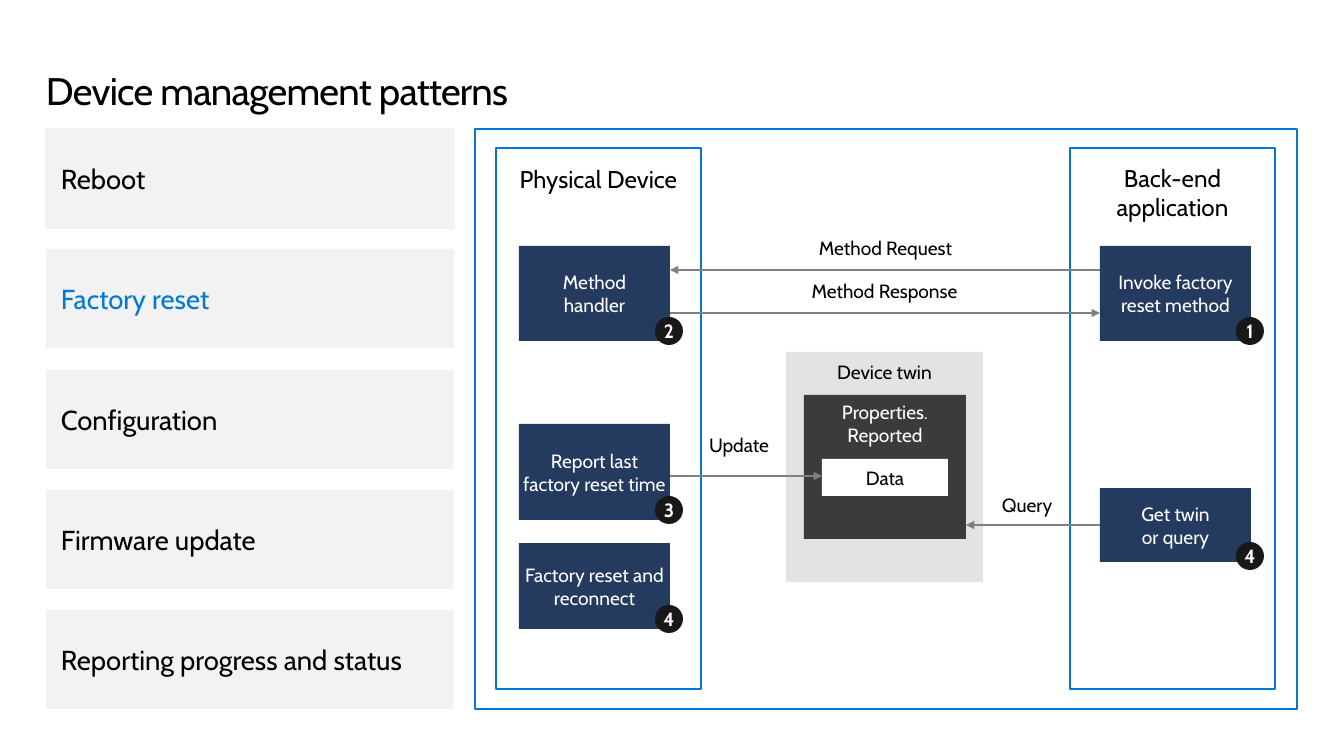
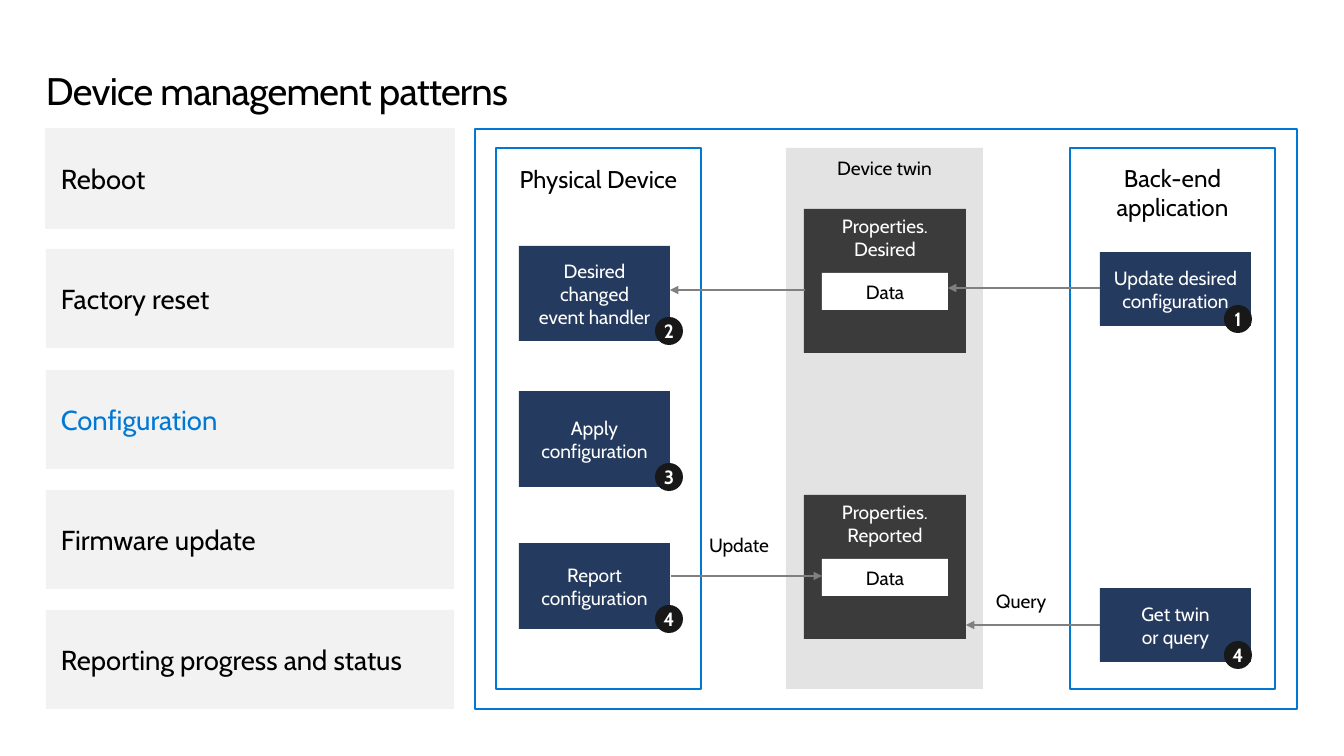
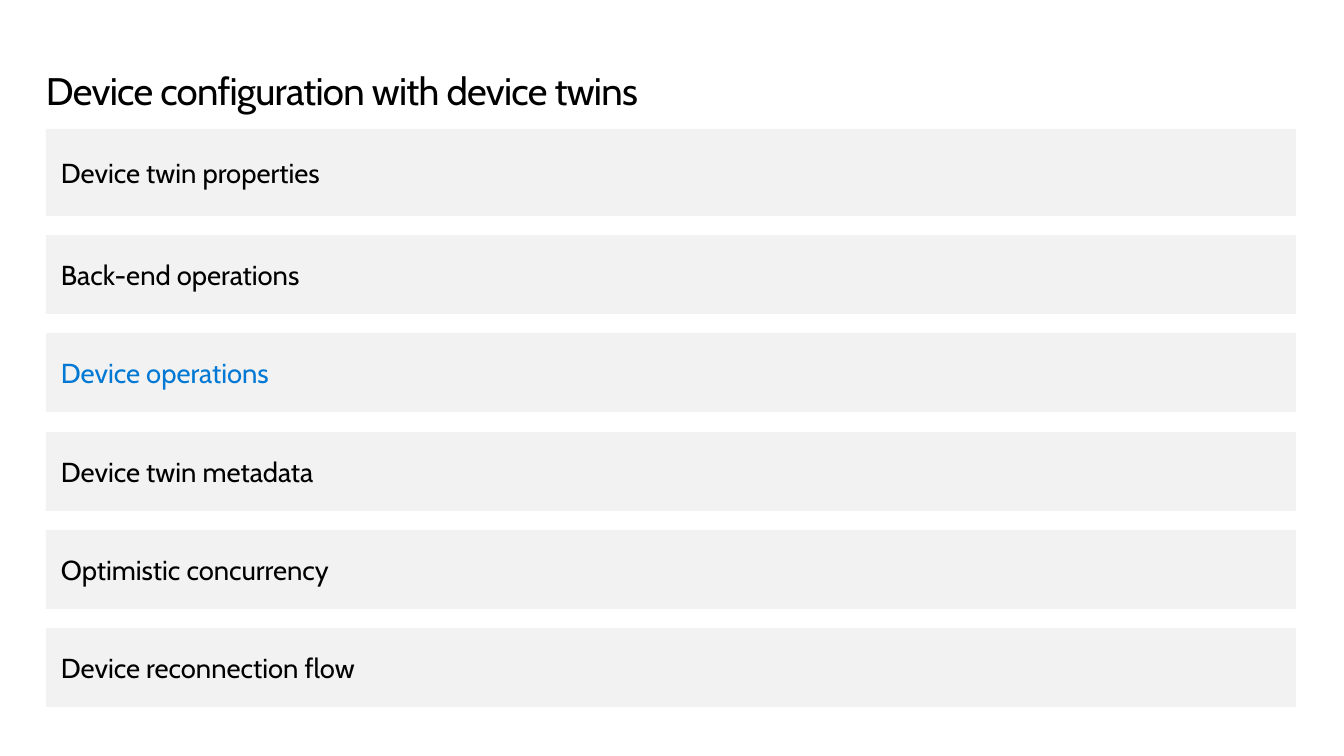
"""Build three slides on device management patterns and device twins."""
from dataclasses import dataclass

from lxml import etree
from pptx import Presentation
from pptx import util as u
from pptx.dml.color import RGBColor
from pptx.enum import shapes, text
from pptx.oxml.ns import qn
from pptx.slide import Slide
from pptx.text.text import TextFrame

PX = 914400 / 100.8
FONT = "Cabin"
BLACK = RGBColor(0x00, 0x00, 0x00)
WHITE = RGBColor(0xFF, 0xFF, 0xFF)
BLUE = RGBColor(0x00, 0x78, 0xD4)
NAVY = RGBColor(0x24, 0x3A, 0x5E)
BADGE = RGBColor(0x18, 0x18, 0x18)
CHARCOAL = RGBColor(0x3B, 0x3B, 0x3B)
TWIN_GRAY = RGBColor(0xE3, 0xE3, 0xE4)
BAND_GRAY = RGBColor(0xF2, 0xF2, 0xF2)
ARROW_GRAY = RGBColor(0x80, 0x80, 0x80)

TITLE_SIZE, MENU_SIZE, HEAD_SIZE, BODY_SIZE = 27.4, 19.6, 17.3, 13.7
LEFT, TOP = 46, 129
DEVICE_X, BACKEND_X = 519, 1100
STEP_W, BADGE_D = 151, 28
LANE_Y, LANE_W, LANE_H = 148, 205, 541

CENTER, START = text.PP_ALIGN.CENTER, text.PP_ALIGN.LEFT
MIDDLE, UPPER = text.MSO_ANCHOR.MIDDLE, text.MSO_ANCHOR.TOP
RECT, OVAL = shapes.MSO_SHAPE.RECTANGLE, shapes.MSO_SHAPE.OVAL


@dataclass(frozen=True)
class Rect:
    """Position and size in px."""
    x: int
    y: int
    w: int
    h: int


@dataclass(frozen=True)
class Style:
    """Text format, with insets in px as left, top, right, bottom."""
    size: float = BODY_SIZE
    color: RGBColor = BLACK
    align: text.PP_ALIGN = CENTER
    anchor: text.MSO_ANCHOR = MIDDLE
    insets: tuple[int, int, int, int] = (0, 0, 0, 0)
    bold: bool = False


@dataclass(frozen=True)
class Step:
    """A numbered box whose badge sits inset from its lower right corner."""
    x: int
    y: int
    h: int
    label: str
    number: int
    dx: int = 1
    dy: int = 10


@dataclass(frozen=True)
class Store:
    """A group of twin properties holding data."""
    y: int
    label: str


@dataclass(frozen=True)
class Arrow:
    """A horizontal arrow."""
    start: int
    end: int
    y: int


@dataclass(frozen=True)
class Label:
    """A caption next to an arrow."""
    rect: Rect
    label: str
    align: text.PP_ALIGN = START


@dataclass(frozen=True)
class Diagram:
    """All that differs between the pattern diagrams."""
    active: str
    twin: Rect
    steps: tuple[Step, ...]
    stores: tuple[Store, ...]
    labels: tuple[Label, ...]
    arrows: tuple[Arrow, ...]


PATTERNS = ("Reboot", "Factory reset", "Configuration", "Firmware update",
            "Reporting progress and status")
TOPICS = ("Device twin properties", "Back-end operations", "Device operations",
          "Device twin metadata", "Optimistic concurrency", "Device reconnection flow")

DIAGRAMS = (
    Diagram(
        "Factory reset", Rect(786, 352, 197, 230),
        (Step(DEVICE_X, 246, 95, "Method\nhandler", 2),
         Step(DEVICE_X, 424, 96, "Report last\nfactory reset time", 3),
         Step(DEVICE_X, 543, 86, "Factory reset and reconnect", 4),
         Step(BACKEND_X, 246, 95, "Invoke factory reset method", 1),
         Step(BACKEND_X, 488, 74, "Get twin\nor query", 4, 1, 6)),
        (Store(395, "Properties.\nReported"),),
        (Label(Rect(791, 236, 189, 23), "Method Request", CENTER),
         Label(Rect(790, 279, 189, 23), "Method Response", CENTER),
         Label(Rect(709, 433, 76, 23), "Update"),
         Label(Rect(1002, 493, 65, 23), "Query")),
        (Arrow(1100, 670, 270), Arrow(670, 1100, 313),
         Arrow(670, 822, 476), Arrow(1100, 966, 525))),
    Diagram(
        "Configuration", Rect(786, LANE_Y, 197, LANE_H),
        (Step(DEVICE_X, 246, 95, "Desired\nchanged\nevent handler", 2),
         Step(DEVICE_X, 391, 96, "Apply configuration", 3),
         Step(DEVICE_X, 543, 86, "Report configuration", 4),
         Step(BACKEND_X, 252, 74, "Update desired configuration", 1, 13, 7),
         Step(BACKEND_X, 588, 74, "Get twin\nor query", 4, 13, 7)),
        (Store(209, "Properties.\nDesired"), Store(495, "Properties.\nReported")),
        (Label(Rect(996, 589, 65, 23), "Query"),
         Label(Rect(709, 533, 76, 23), "Update")),
        (Arrow(1100, 948, 288), Arrow(805, 670, 290),
         Arrow(671, 822, 576), Arrow(1100, 966, 625))),
)


def px(n: float) -> u.Emu:
    """Turn px into EMU."""
    return u.Emu(round(n * PX))


def place(r: Rect) -> tuple[u.Emu, ...]:
    """Give a rectangle in EMU."""
    return px(r.x), px(r.y), px(r.w), px(r.h)


def write(tf: TextFrame, words: str, style: Style) -> None:
    """Fill a text frame with one formatted paragraph."""
    tf.word_wrap = True
    tf.auto_size = text.MSO_AUTO_SIZE.NONE
    tf.vertical_anchor = style.anchor
    tf.margin_left, tf.margin_top, tf.margin_right, tf.margin_bottom = map(px, style.insets)
    p = tf.paragraphs[0]
    p.text = words
    p.alignment = style.align
    p.font.name = FONT
    p.font.size = u.Pt(style.size)
    p.font.bold = style.bold
    p.font.color.rgb = style.color


def box(s: Slide, rect: Rect, fill: RGBColor | None = None, line: RGBColor | None = None,
        words: str = "", style: Style = Style(), kind: shapes.MSO_SHAPE = RECT) -> None:
    """Draw a flat shape, with text if there is any."""
    sp = s.shapes.add_shape(kind, *place(rect))
    sp.shadow.inherit = False
    if fill is None:
        sp.fill.background()
    else:
        sp.fill.solid()
        sp.fill.fore_color.rgb = fill
    if line is None:
        sp.line.fill.background()
    else:
        sp.line.color.rgb = line
        sp.line.width = u.Pt(1.5)
    if words:
        write(sp.text_frame, words, style)


def new_slide(prs: Presentation, title: str) -> Slide:
    """Add a slide with the shared title style."""
    s = prs.slides.add_slide(prs.slide_layouts[5])
    sp = s.shapes.title
    sp.left, sp.top, sp.width, sp.height = place(Rect(LEFT, 69, 1251, 44))
    write(sp.text_frame, title, Style(TITLE_SIZE, align=START, anchor=UPPER))
    p = sp.text_frame.paragraphs[0]
    p.line_spacing = u.Pt(31.4)
    p.runs[0]._r.get_or_add_rPr().set("spc", "-50")
    return s


def draw_menu(s: Slide, items: tuple[str, ...], active: str, width: int, first_h: int,
              rest_h: int, bottom: int, outlined: str = "") -> None:
    """Stack bands evenly from the top to the given bottom."""
    rest = len(items) - 1
    gap = (bottom - TOP - first_h - rest * rest_h) / rest
    y = TOP
    for i, item in enumerate(items):
        h = rest_h if i else first_h
        color = BLUE if item == active else BLACK
        box(s, Rect(LEFT, round(y), width, h), BAND_GRAY,
            BAND_GRAY if item == outlined else None, item,
            Style(MENU_SIZE, color, START, insets=(15, 10, 15, 10)))
        y += h + gap


def draw_step(s: Slide, step: Step) -> None:
    """Draw a step and its numbered badge."""
    box(s, Rect(step.x, step.y, STEP_W, step.h), NAVY, None, step.label, Style(color=WHITE))
    x = step.x + STEP_W - step.dx - BADGE_D // 2
    y = step.y + step.h - step.dy - BADGE_D // 2
    box(s, Rect(x, y, BADGE_D, BADGE_D), BADGE, None, str(step.number),
        Style(color=WHITE, bold=True), OVAL)


def draw_store(s: Slide, store: Store) -> None:
    """Draw a property group with its data box."""
    box(s, Rect(804, store.y, 162, 144), CHARCOAL, None, store.label,
        Style(color=WHITE, anchor=UPPER, insets=(0, 5, 0, 0)))
    box(s, Rect(822, store.y + 64, 126, 37), WHITE, None, "Data")


def draw_arrow(s: Slide, arrow: Arrow) -> None:
    """Draw a gray arrow with a triangle head."""
    cx = s.shapes.add_connector(shapes.MSO_CONNECTOR.STRAIGHT, px(arrow.start), px(arrow.y),
                                px(arrow.end), px(arrow.y))
    cx.line.color.rgb = ARROW_GRAY
    cx.line.width = u.Pt(1.5)
    etree.SubElement(cx.line._get_or_add_ln(), qn("a:tailEnd"), type="triangle")
    etree.SubElement(cx._element.spPr, qn("a:effectLst"))


def draw_diagram(s: Slide, d: Diagram) -> None:
    """Draw the frame, the lanes and the flow between them."""
    box(s, Rect(475, TOP, 822, 580), line=BLUE)
    for x, name, insets in ((496, "Physical Device", (20, 16, 20, 16)),
                            (1070, "Back-end application", (0, 15, 0, 0))):
        box(s, Rect(x, LANE_Y, LANE_W, LANE_H), None, BLUE, name,
            Style(HEAD_SIZE, anchor=UPPER, insets=insets))
    for step in d.steps:
        draw_step(s, step)
    box(s, d.twin, TWIN_GRAY, None, "Device twin",
        Style(anchor=UPPER, insets=(20, 8, 20, 16)))
    for store in d.stores:
        draw_store(s, store)
    for label in d.labels:
        tb = s.shapes.add_textbox(*place(label.rect))
        write(tb.text_frame, label.label, Style(align=label.align, anchor=UPPER))
    for arrow in d.arrows:
        draw_arrow(s, arrow)


def main() -> None:
    """Build and save the presentation."""
    prs = Presentation()
    prs.slide_width, prs.slide_height = px(1344), px(756)
    for d in DIAGRAMS:
        s = new_slide(prs, "Device management patterns")
        draw_menu(s, PATTERNS, d.active, 408, 99, 99, 709, outlined=PATTERNS[0])
        draw_diagram(s, d)
    s = new_slide(prs, "Device configuration with device twins")
    draw_menu(s, TOPICS, "Device operations", 1250, 87, 79, 707)
    prs.save("out.pptx")


if __name__ == "__main__":
    main()
